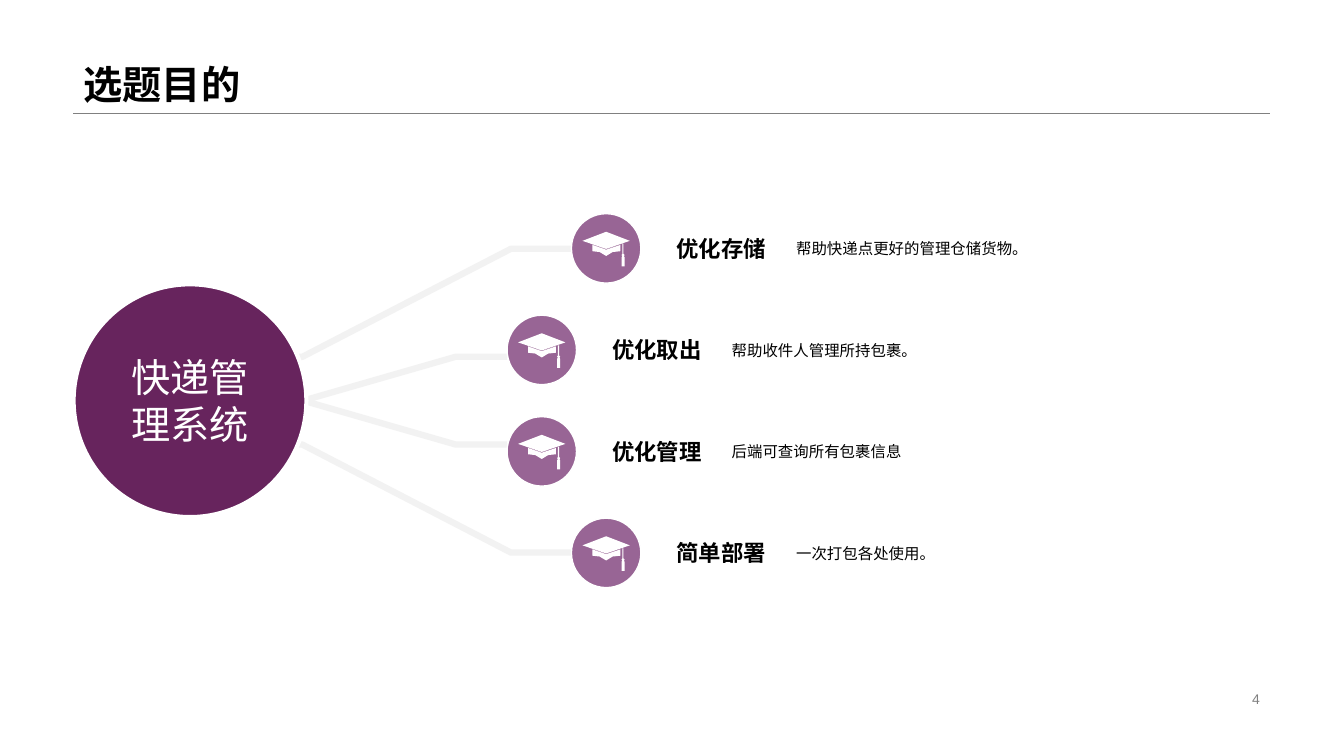
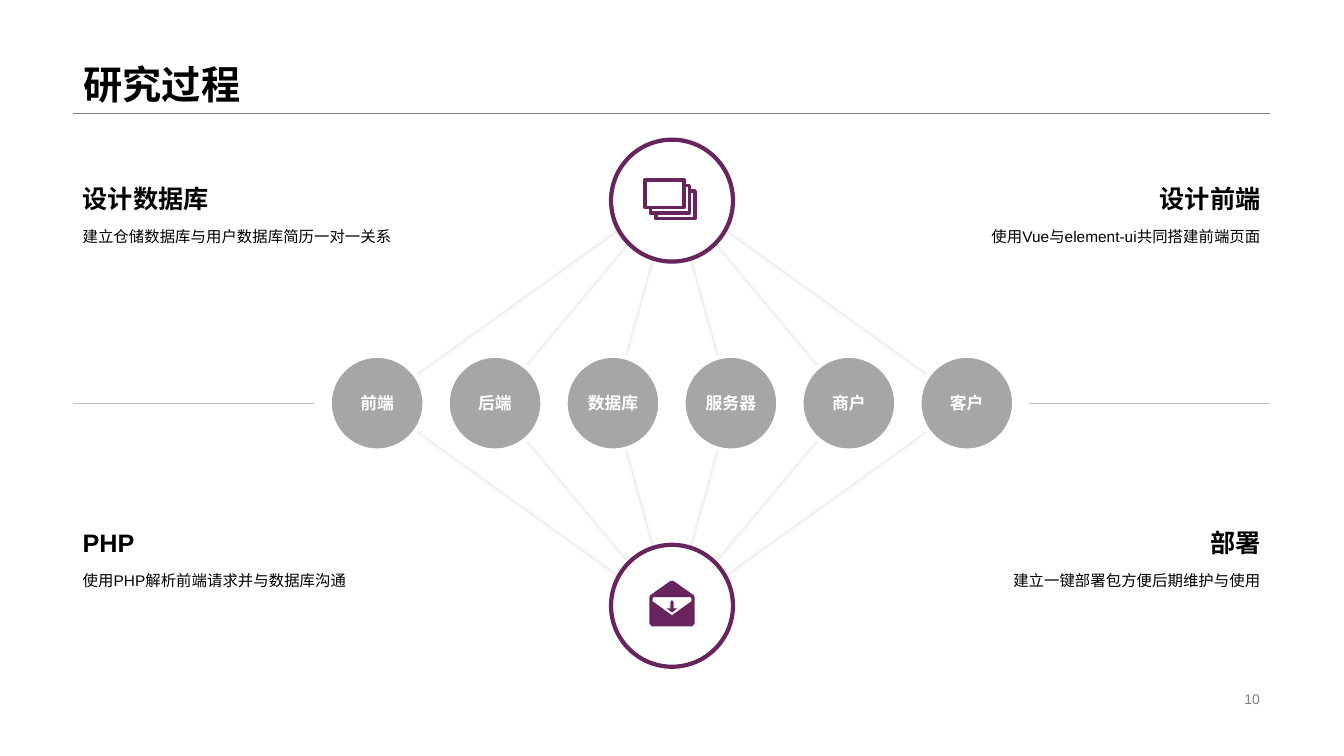
import collections

import lxml.etree
import pptx
import pptx.dml.color
import pptx.enum.shapes
import pptx.enum.text
import pptx.oxml.ns
import pptx.util

Pt = pptx.util.Pt
ALIGN = pptx.enum.text.PP_ALIGN
ANCHOR = pptx.enum.text.MSO_ANCHOR
SHAPE = pptx.enum.shapes.MSO_SHAPE
Box = collections.namedtuple("Box", "left top width height")

PURPLE, LILAC = "67245D", "986595"
WHITE, BLACK, PALE, SILVER = "FFFFFF", "000000", "F2F2F2", "BFBFBF"
NODE_GREY, RULE_GREY = "A6A6A6", "808080"

TITLE = {"size": Pt(28), "bold": True, "color": BLACK}
NUMBER = {"size": Pt(10), "bold": False, "color": RULE_GREY}
CENTRE = {"size": Pt(28), "bold": False, "color": WHITE}
LABEL = {"size": Pt(16), "bold": True, "color": BLACK}
HEADING = {"size": Pt(18), "bold": True, "color": BLACK}
DETAIL = {"size": Pt(11), "bold": False, "color": BLACK}
NODE = {"size": Pt(12), "bold": True, "color": WHITE}

TITLE_BOX = Box(52.5, 0, 855, 80.64)
NUMBER_BOX = Box(678, 491, 229, 17)
BODY_BOX = Box(52.5, 99, 855, 378)

CAP = [
    [(0, -11.9), (16.9, -5.4), (0, 0.4), (-16.9, -5.4)],
    [(-9.8, -2.5), (0, 0.9), (10.2, -2.5), (10.2, 2), (4.6, 2.6),
     (0, 5.4), (-4.6, 2.6), (-9.8, 2)],
    [(11.6, -3.2), (12.4, -3.2), (12.4, 4), (13.2, 4.7), (12.7, 5.6),
     (13.2, 6.4), (13.2, 12.8), (11, 12.8), (11, 6.4), (11.5, 5.6),
     (11, 4.7), (11.6, 4)],
]
ENVELOPE = [
    [(15.6, -7.5), (1, -17.8), (-1, -17.8), (-15.6, -7.5), (-16.2, -6),
     (-16.2, 12.8), (-14.2, 14.8), (14.2, 14.8), (16.2, 12.8), (16.2, -6)],
    [(13.9, -3.2), (0, 6.8), (-13.9, -3.2), (-13.9, -5.4), (-13.2, -6.1),
     (13.2, -6.1), (13.9, -5.4)],
    [(1.2, -2.6), (0, -4), (-1.2, -2.6), (-1.2, 1.8), (-4, 1.8),
     (0, 4.8), (4, 1.8), (1.2, 1.8)],
]


def rgb(value):
    return pptx.dml.color.RGBColor.from_string(value)


def points(values):
    return [Pt(value) for value in values]


def write(shape, text, style, align=ALIGN.LEFT, anchor=ANCHOR.MIDDLE,
          spacing=1.0, inset=None):
    frame = shape.text_frame
    frame_format = {"word_wrap": True, "vertical_anchor": anchor,
                    "auto_size": pptx.enum.text.MSO_AUTO_SIZE.NONE}
    if inset is not None:
        for side in ("left", "top", "right", "bottom"):
            frame_format["margin_" + side] = Pt(inset)
    for name, value in frame_format.items():
        setattr(frame, name, value)
    paragraph = frame.paragraphs[0]
    for name, value in {"alignment": align, "line_spacing": spacing}.items():
        setattr(paragraph, name, value)
    run = paragraph.add_run()
    run.text = text
    run_format = {"name": "Arial", "size": style["size"], "bold": style["bold"]}
    for name, value in run_format.items():
        setattr(run.font, name, value)
    run.font.color.rgb = rgb(style["color"])


def paint(shape, fill=None, line=None, weight=1):
    shape.shadow.inherit = False
    if fill:
        shape.fill.solid()
        shape.fill.fore_color.rgb = rgb(fill)
    else:
        shape.fill.background()
    if line:
        shape.line.color.rgb = rgb(line)
        shape.line.width = Pt(weight)
    else:
        shape.line.fill.background()


def add_text(slide, box, text, style, **layout):
    write(slide.shapes.add_textbox(*points(box)), text, style, **layout)


def add_line(slide, start, end, color, weight):
    connector = slide.shapes.add_connector(
        pptx.enum.shapes.MSO_CONNECTOR.STRAIGHT, *points(start + end))
    connector.line.color.rgb = rgb(color)
    connector.line.width = Pt(weight)
    lxml.etree.SubElement(connector._element.spPr,
                          pptx.oxml.ns.qn("a:effectLst"))


def add_circle(slide, x, y, diameter, fill, line, weight):
    circle = slide.shapes.add_shape(SHAPE.OVAL, *points(
        (x - diameter / 2, y - diameter / 2, diameter, diameter)))
    paint(circle, fill, line, weight)
    return circle


def add_outline(slide, x, y, contours, close=True, **colors):
    placed = [[points((x + dx, y + dy)) for dx, dy in contour]
              for contour in contours]
    builder = slide.shapes.build_freeform(*placed[0][0])
    for index, contour in enumerate(placed):
        if index:
            builder.move_to(*contour[0])
        builder.add_line_segments(contour[1:], close=close)
    paint(builder.convert_to_shape(), **colors)


def add_stack(slide, x, y):
    for step in (8, 4, 0):
        sheet = slide.shapes.add_shape(SHAPE.RECTANGLE, *points(
            (x - 19.3 + step, y - 14.9 + step, 27.8, 19.8)))
        paint(sheet, WHITE, PURPLE, 2.5)


def add_envelope(slide, x, y):
    add_outline(slide, x, y, ENVELOPE, fill=PURPLE)


def start_slide(presentation, title, number):
    slide = presentation.slides.add_slide(presentation.slide_layouts[5])
    shape = slide.shapes.title
    for name, value in zip(Box._fields, points(TITLE_BOX)):
        setattr(shape, name, value)
    write(shape, title, TITLE, anchor=ANCHOR.BOTTOM, spacing=0.9)
    right = TITLE_BOX.left + TITLE_BOX.width
    add_line(slide, (TITLE_BOX.left, TITLE_BOX.height),
             (right, TITLE_BOX.height), RULE_GREY, 0.25)
    add_text(slide, NUMBER_BOX, number, NUMBER, align=ALIGN.RIGHT)
    return slide


def add_goal(slide, left, middle, label, detail):
    x = left + 24.8
    add_circle(slide, x, middle, 49.6, LILAC, WHITE, 1)
    add_outline(slide, x, middle, CAP, fill=WHITE)
    add_text(slide, (left + 60.5, middle - 20, 93, 40), label, LABEL,
             align=ALIGN.CENTER)
    add_text(slide, (left + 153.4, middle - 20, 291, 40), detail, DETAIL)


def build_goals(slide, box, topic, goals):
    middle = box.top + 187.2
    hub = box.left + 83.2
    outer, inner = box.left + 355.7, box.left + 309.7
    for side in (-1, 1):
        for start, elbow, bend, far, near in (
                (outer, 43.2, 216, 108.5, 31.3),
                (inner, 36.8, 216.7, 31.3, 0)):
            branch = [(start, side * far), (start - elbow, side * far),
                      (bend, side * near), (box.left + 39, side * near)]
            add_outline(slide, 0, middle, [branch], close=False,
                        line=PALE, weight=4.5)
    circle = add_circle(slide, hub, middle, 166.3, PURPLE, WHITE, 3)
    write(circle, topic, CENTRE, align=ALIGN.CENTER)
    for index, (label, detail) in enumerate(goals):
        left = outer if index in (0, len(goals) - 1) else inner
        add_goal(slide, left, middle + (index - 1.5) * 72.5, label, detail)


def add_note(slide, box, heading, detail, align):
    add_text(slide, (box.left, box.top, box.width, 42.5), heading, HEADING,
             align=align, anchor=ANCHOR.BOTTOM)
    add_text(slide, (box.left, box.top + 42.5, box.width, 61), detail, DETAIL,
             align=align, anchor=ANCHOR.TOP, spacing=1.2)


def build_process(slide, box, names, notes):
    centre, middle = box.left + box.width / 2, box.top + 189
    right = box.left + box.width
    columns = [centre + (index - (len(names) - 1) / 2) * 84.24
               for index in range(len(names))]
    for start in (box.left - 0.5, right - 172.5):
        add_line(slide, (start, middle), (start + 172.5, middle), SILVER, 0.25)
    for side in (-1, 1):
        for x in columns:
            add_line(slide, (x, middle), (centre, middle + side * 151), PALE, 2)
    for x, name in zip(columns, names):
        node = add_circle(slide, x, middle, 67.7, NODE_GREY, WHITE, 3)
        write(node, name, NODE, align=ALIGN.CENTER, inset=0)
    for side, add_icon in ((-1, add_stack), (1, add_envelope)):
        y = middle + side * 144.7
        add_circle(slide, centre, y, 87.1, WHITE, PURPLE, 3)
        add_icon(slide, centre, y)
    for index, (heading, detail) in enumerate(notes):
        row, column = divmod(index, 2)
        left = right - 237.6 if column else box.left - 0.5
        add_note(slide, Box(left, box.top + 14.7 + row * 245.5, 237.6, 103.5),
                 heading, detail, ALIGN.RIGHT if column else ALIGN.LEFT)


def main():
    presentation = pptx.Presentation()
    presentation.slide_width, presentation.slide_height = points((960, 540))
    goals = start_slide(presentation, "选题目的", "4")
    build_goals(goals, BODY_BOX, "快递管理系统", [
        ("优化存储", "帮助快递点更好的管理仓储货物。"),
        ("优化取出", "帮助收件人管理所持包裹。"),
        ("优化管理", "后端可查询所有包裹信息"),
        ("简单部署", "一次打包各处使用。"),
    ])
    process = start_slide(presentation, "研究过程", "10")
    build_process(process, BODY_BOX,
                  ["前端", "后端", "数据库", "服务器", "商户", "客户"], [
                      ("设计数据库", "建立仓储数据库与用户数据库简历一对一关系"),
                      ("设计前端", "使用Vue与element-ui共同搭建前端页面"),
                      ("PHP", "使用PHP解析前端请求并与数据库沟通"),
                      ("部署", "建立一键部署包方便后期维护与使用"),
                  ])
    presentation.save("out.pptx")


main()
